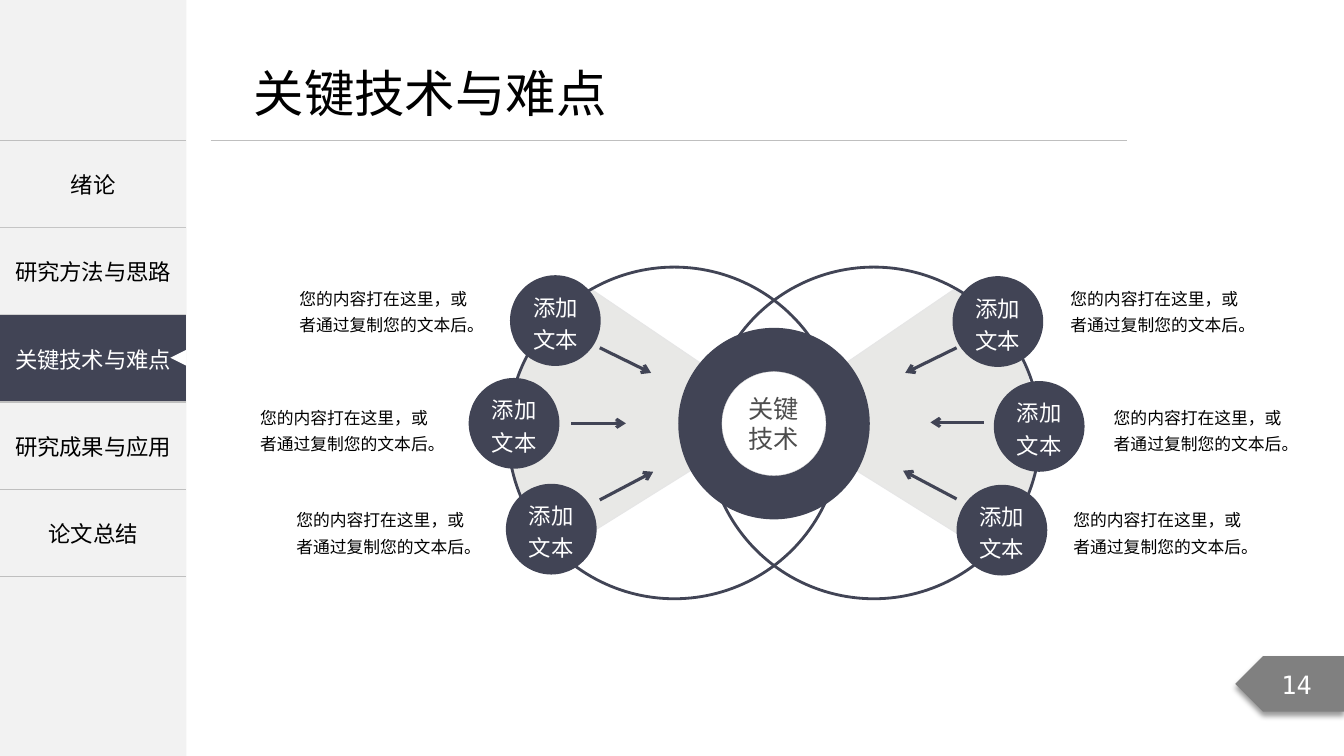
"""Build the slide on key technologies and difficulties."""
import pptx
import pptx.dml.color
import pptx.enum.shapes
import pptx.enum.text
import pptx.oxml
import pptx.oxml.ns
import pptx.util

Pt = pptx.util.Pt
RGB = pptx.dml.color.RGBColor
SHAPE = pptx.enum.shapes.MSO_SHAPE
ALIGN = pptx.enum.text.PP_ALIGN
ANCHOR = pptx.enum.text.MSO_ANCHOR
AUTO = pptx.enum.text.MSO_AUTO_SIZE

NAVY = RGB(0x41, 0x44, 0x55)
WHITE = RGB(0xFF, 0xFF, 0xFF)
BLACK = RGB(0, 0, 0)
PANEL = RGB(0xF2, 0xF2, 0xF2)
RULE = RGB(0xBF, 0xBF, 0xBF)
TAG = RGB(0x80, 0x80, 0x80)
WEDGE = RGB(0xE8, 0xE8, 0xE6)
WEDGE_EDGE = RGB(0xE6, 0xE6, 0xE6)
HUB_EDGE = RGB(0xD7, 0xD7, 0xD7)
HUB_TEXT = RGB(0x4D, 0x4D, 0x4D)
CJK = "Noto Sans CJK SC"

TITLE = "关键技术与难点"
CHAPTERS = ["绪论", "", "关键技术与难点", "研究成果与应用", "论文总结"]
COVERING_CHAPTER = "研究方法与思路"
CURRENT = 2
HUB = "关键技术"
PAGE = "14"
NODE = "添加文本"
NOTE = "您的内容打在这里，或者通过复制您的文本后。"
NODES = [(364.3, 196.6), (680.4, 197.3), (709.9, 272.2),
         (683.3, 346.3), (334.8, 270), (361.4, 345.6)]
NOTES = [(208.1, 198.7), (758.9, 198.7), (180, 283.7),
         (789.8, 283.7), (761, 357.1), (205.9, 357.1)]
ARROWS = [(428.4, 248.4, 465.1, 266.4), (408.2, 302.4, 447.1, 302.4),
          (428.4, 357.1, 466.6, 337), (683.3, 356.4, 645.1, 336.2),
          (702.7, 301.7, 664.6, 301.7), (683.3, 248.4, 646.6, 266.4)]
WEDGE_START = (379.4, 249.8)
WEDGE_PATH = [
    [(398.2, 223.9), (393.8, 226.1), (423.4, 206.6)],
    [(555.8, 297.4)],
    [(398.9, 394.6)],
    [(360.7, 347.8), (365, 331.9), (362.9, 307.4)],
    [(365, 288), (368.6, 267.1), (379.4, 249.8)],
]
MIRROR_SUM = 1104.5
SIDE_WIDTH, TABLE_TOP, ROW_HEIGHT = 133.2, 100.1, 62.35
NODE_SIZE, NOTE_WIDTH, NOTE_HEIGHT = 64.8, 139.7, 43.9
TIGHT = {"margin_left": Pt(5.76), "margin_right": Pt(5.76),
         "margin_top": Pt(2.88), "margin_bottom": Pt(2.88)}


def apply(target, values):
    for key, value in values.items():
        setattr(target, key, value)


def element(tag, **attributes):
    made = pptx.oxml.parse_xml(f"<{tag} {pptx.oxml.ns.nsdecls('a')}/>")
    for key, value in attributes.items():
        made.set(key, str(value))
    return made


def child(parent, tag, **attributes):
    made = element(tag, **attributes)
    parent.append(made)
    return made


def write(frame, text, size, color, face=CJK, align=ALIGN.CENTER, spacing=None):
    paragraph = frame.paragraphs[0]
    apply(paragraph, {"alignment": align, "line_spacing": spacing})
    run = paragraph.add_run()
    run.text = text
    apply(run.font, {"size": Pt(size), "name": face})
    run.font.color.rgb = color
    child(run.font._element, "a:ea", typeface=face)


def paint(shape, fill=None, line=None, weight=1):
    shape.shadow.inherit = False
    if fill is None:
        shape.fill.background()
    else:
        shape.fill.solid()
        shape.fill.fore_color.rgb = fill
    if line is None:
        shape.line.fill.background()
    else:
        shape.line.color.rgb = line
        shape.line.width = Pt(weight)
    return shape


def add(kind, x, y, width, height, **style):
    box = [Pt(value) for value in (x, y, width, height)]
    return paint(slide.shapes.add_shape(kind, *box), **style)


def add_line(x1, y1, x2, y2, color, weight, arrow=False):
    line = slide.shapes.add_connector(
        pptx.enum.shapes.MSO_CONNECTOR.STRAIGHT, Pt(x1), Pt(y1), Pt(x2), Pt(y2))
    line.line.color.rgb = color
    line.line.width = Pt(weight)
    if arrow:
        child(line.line._get_or_add_ln(), "a:tailEnd", type="arrow")
    child(line._element.spPr, "a:effectLst")


def add_text(x, y, width, height, wrap, margins, **style):
    frame = slide.shapes.add_textbox(Pt(x), Pt(y), Pt(width), Pt(height)).text_frame
    apply(frame, {"word_wrap": wrap, "auto_size": AUTO.SHAPE_TO_FIT_TEXT, **margins})
    write(frame, color=BLACK, align=ALIGN.LEFT, **style)


def wedge_points(steps=12):
    points = [WEDGE_START]
    for segment in WEDGE_PATH:
        if len(segment) == 1:
            points += segment
            continue
        corners = [points[-1], *segment]
        for step in range(1, steps + 1):
            t = step / steps
            weights = ((1 - t) ** 3, 3 * t * (1 - t) ** 2, 3 * t * t * (1 - t), t ** 3)
            points.append(tuple(sum(w * c[axis] for w, c in zip(weights, corners))
                                for axis in (0, 1)))
    return points


def add_wedge(points):
    builder = slide.shapes.build_freeform(*points[0], scale=Pt(1))
    builder.add_line_segments(points[1:], close=True)
    paint(builder.convert_to_shape(), WEDGE, WEDGE_EDGE, 0.75)


def add_chapters():
    holder = slide.shapes.add_table(len(CHAPTERS), 1, 0, Pt(TABLE_TOP), Pt(SIDE_WIDTH),
                                    Pt(ROW_HEIGHT * len(CHAPTERS)))
    table = holder.table
    apply(table, {"first_row": False, "horz_banding": False})
    for index, chapter in enumerate(CHAPTERS):
        current = index == CURRENT
        table.rows[index].height = Pt(ROW_HEIGHT)
        cell = table.cell(index, 0)
        cell.vertical_anchor = ANCHOR.MIDDLE
        properties = cell._tc.get_or_add_tcPr()
        for side in ("L", "R", "T", "B"):
            edge = child(properties, f"a:ln{side}", w=Pt(1))
            if side in "LR":
                child(edge, "a:noFill")
            else:
                child(child(edge, "a:solidFill"), "a:srgbClr", val=RULE)
        if current:
            cell.fill.solid()
            cell.fill.fore_color.rgb = NAVY
        else:
            cell.fill.background()
        if chapter:
            write(cell.text_frame, chapter, 16, WHITE if current else BLACK)


def add_page_tag():
    tag = add(SHAPE.PENTAGON, 882.4, 468.7, 77.6, 39.6, fill=TAG)
    tag._element.spPr.xfrm.set("flipH", "1")
    effects = tag._element.spPr.find(pptx.oxml.ns.qn("a:effectLst"))
    shadow = child(effects, "a:outerShdw", blurRad=Pt(4), dist=Pt(3), dir=5400000,
                   algn="t", rotWithShape=0)
    child(child(shadow, "a:srgbClr", val="000000"), "a:alpha", val=40000)
    write(tag.text_frame, PAGE, 18, WHITE, "DejaVu Sans Mono")


deck = pptx.Presentation()
apply(deck, {"slide_width": Pt(960), "slide_height": Pt(540)})
slide = deck.slides.add_slide(deck.slide_layouts[6])

add(SHAPE.RECTANGLE, 0, 0, SIDE_WIDTH, 540, fill=PANEL)
add_chapters()
cover = add(SHAPE.RECTANGLE, 0, TABLE_TOP + ROW_HEIGHT + 0.3, SIDE_WIDTH, 61.9, fill=PANEL)
write(cover.text_frame, COVERING_CHAPTER, 16, BLACK)
add_line(150.5, TABLE_TOP, 805, TABLE_TOP, RULE, 0.5)
add_text(174.2, 41, 269.3, 51.1, False, {}, text=TITLE, size=36)
add_page_tag()
pointer = add(SHAPE.ISOSCELES_TRIANGLE, 121.7, 249.8, 11.5, 11.5, fill=WHITE)
pointer.rotation = 270

left_wedge = wedge_points()
add_wedge([(MIRROR_SUM - x, y) for x, y in left_wedge])
add_wedge(left_wedge)
for orbit_left in (362.9, 505.4):
    add(SHAPE.OVAL, orbit_left, 190.8, 237.6, 236.9, line=NAVY, weight=2)
for arrow in ARROWS:
    add_line(*arrow, NAVY, 2.25, arrow=True)

add(SHAPE.OVAL, 484.5, 234.2, 136.8, 136.8, fill=NAVY)
hub = add(SHAPE.OVAL, 515.7, 265.5, 74.2, 74.2, fill=WHITE, line=HUB_EDGE, weight=0.25)
write(hub.text_frame, HUB, 18, HUB_TEXT, "Roboto Condensed")
for x, y in NODES:
    node = add(SHAPE.OVAL, x, y, NODE_SIZE, NODE_SIZE, fill=NAVY)
    apply(node.text_frame, TIGHT)
    write(node.text_frame, NODE, 16, WHITE, "Arial", spacing=1.2)
for x, y in NOTES:
    add_text(x, y, NOTE_WIDTH, NOTE_HEIGHT, True, TIGHT, text=NOTE, size=12, spacing=1.3)

deck.save("out.pptx")
